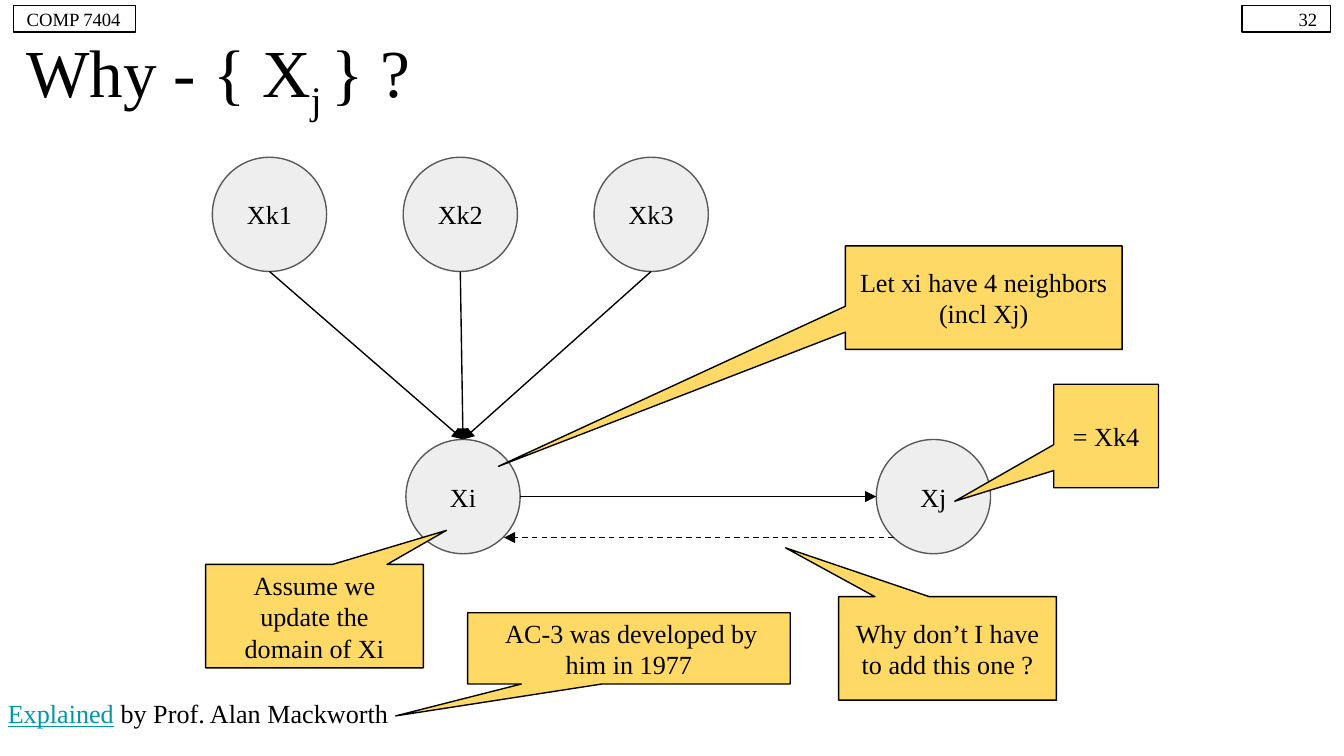
"""Build the slide on why AC-3 leaves Xj out when it adds back the neighbors of Xi."""
from pptx import Presentation
from pptx.dml.color import RGBColor
from pptx.enum.dml import MSO_LINE
from pptx.enum.shapes import MSO_CONNECTOR, MSO_SHAPE as Shape
from pptx.enum.text import MSO_ANCHOR as Anchor, PP_ALIGN as Align
from pptx.oxml.ns import qn
from pptx.util import Pt
from lxml.etree import SubElement

PX = 9144
FONT = "Times New Roman"
COLORS = {"ink": "000000", "node": "EEEEEE", "rim": "595959", "note": "FFD966", "link": "0097A7"}
SIZE = 85

TITLE = [("Why - { X", {}), ("j ", {"baseline": "-25000"}), ("} ?", {})]
CREDIT = [("Explained", {"color": "link", "underline": True}), (" by Prof. Alan Mackworth", {})]
TAGS = [("32", (924, 4, 66, 20), Align.RIGHT), ("COMP 7404", (10, 4, 91, 20), Align.LEFT)]
NODES = {"Xi": (302, 327), "Xj": (652, 327)}
NODES.update({f"Xk{i + 1}": (158 + 142 * i, 117) for i in range(3)})
NOTES = [
    ("Why don’t I have to add this one ?", (624, 444, 162, 77), (-0.744, -0.972)),
    ("Assume we update the domain of Xi", (153, 420, 162, 77), (0.606, -0.829)),
    ("Let xi have 4 neighbors (incl Xj)", (629, 183, 206, 77), (-1.753, 1.63)),
    ("= Xk4", (784, 286, 78, 77), (-1.444, 0.63)),
    (" AC-3 was developed by him in 1977", (348, 456, 240, 53), (-0.723, 0.948)),
]


def rgb(name):
    return RGBColor.from_string(COLORS[name])


def emu(lengths):
    return [int(length * PX) for length in lengths]


def write(shape, runs, size, align=Align.LEFT, anchor=Anchor.MIDDLE):
    frame = shape.text_frame
    frame.word_wrap = True
    frame.vertical_anchor = anchor
    frame.margin_left = frame.margin_right = frame.margin_top = frame.margin_bottom = 10 * PX
    paragraph = frame.paragraphs[0]
    paragraph.alignment = align
    paragraph.font.name, paragraph.font.size = FONT, Pt(size)
    for text, style in runs:
        run = paragraph.add_run()
        run.text = text
        run.font.color.rgb = rgb(style.get("color", "ink"))
        if "underline" in style:
            run.font.underline = True
        if "baseline" in style:
            run.font._element.set("baseline", style["baseline"])


def add_box(slide, kind, box, text, size=14, fill=None, line="ink", align=Align.CENTER):
    shape = slide.shapes.add_shape(kind, *emu(box))
    shape.shadow.inherit = False
    if fill:
        shape.fill.solid()
        shape.fill.fore_color.rgb = rgb(fill)
    else:
        shape.fill.background()
    shape.line.color.rgb = rgb(line)
    shape.line.width = Pt(0.75)
    write(shape, [(text, {})], size, align)
    return shape


def add_text(slide, box, runs, size, anchor):
    write(slide.shapes.add_textbox(*emu(box)), runs, size, anchor=anchor)


def add_arrow(slide, start, end, dashed=False):
    arrow = slide.shapes.add_connector(MSO_CONNECTOR.STRAIGHT, *emu(start + end))
    arrow.line.color.rgb = rgb("ink")
    arrow.line.width = Pt(0.75)
    if dashed:
        arrow.line.dash_style = MSO_LINE.DASH
    properties = arrow._element.spPr
    SubElement(properties.find(qn("a:ln")), qn("a:tailEnd"), type="triangle")
    SubElement(properties, qn("a:effectLst"))


def node_point(name, across, down):
    left, top = NODES[name]
    return left + SIZE * across, top + SIZE * down


def main():
    deck = Presentation()
    deck.slide_width, deck.slide_height = emu((1000, 562.5))
    slide = deck.slides.add_slide(deck.slide_layouts[6])

    add_text(slide, (10, 28, 980, 57), TITLE, 36, Anchor.MIDDLE)
    for text, box, align in TAGS:
        add_box(slide, Shape.RECTANGLE, box, text, size=10, align=align)
    for name, corner in NODES.items():
        add_box(slide, Shape.OVAL, corner + (SIZE, SIZE), name, fill="node", line="rim")

    add_arrow(slide, node_point("Xi", 1, 0.5), node_point("Xj", 0, 0.5))
    for neighbor in ("Xk1", "Xk2", "Xk3"):
        add_arrow(slide, node_point(neighbor, 0.5, 1), node_point("Xi", 0.5, 0))
    add_arrow(slide, (665, 400), (375, 400), dashed=True)

    for text, box, tip in NOTES:
        note = add_box(slide, Shape.ROUNDED_RECTANGULAR_CALLOUT, box, text, fill="note")
        for index, value in enumerate(tip + (0,)):
            note.adjustments[index] = value
    add_text(slide, (-4, 509, 353, 53), CREDIT, 14, Anchor.TOP)
    deck.save("out.pptx")


if __name__ == "__main__":
    main()
